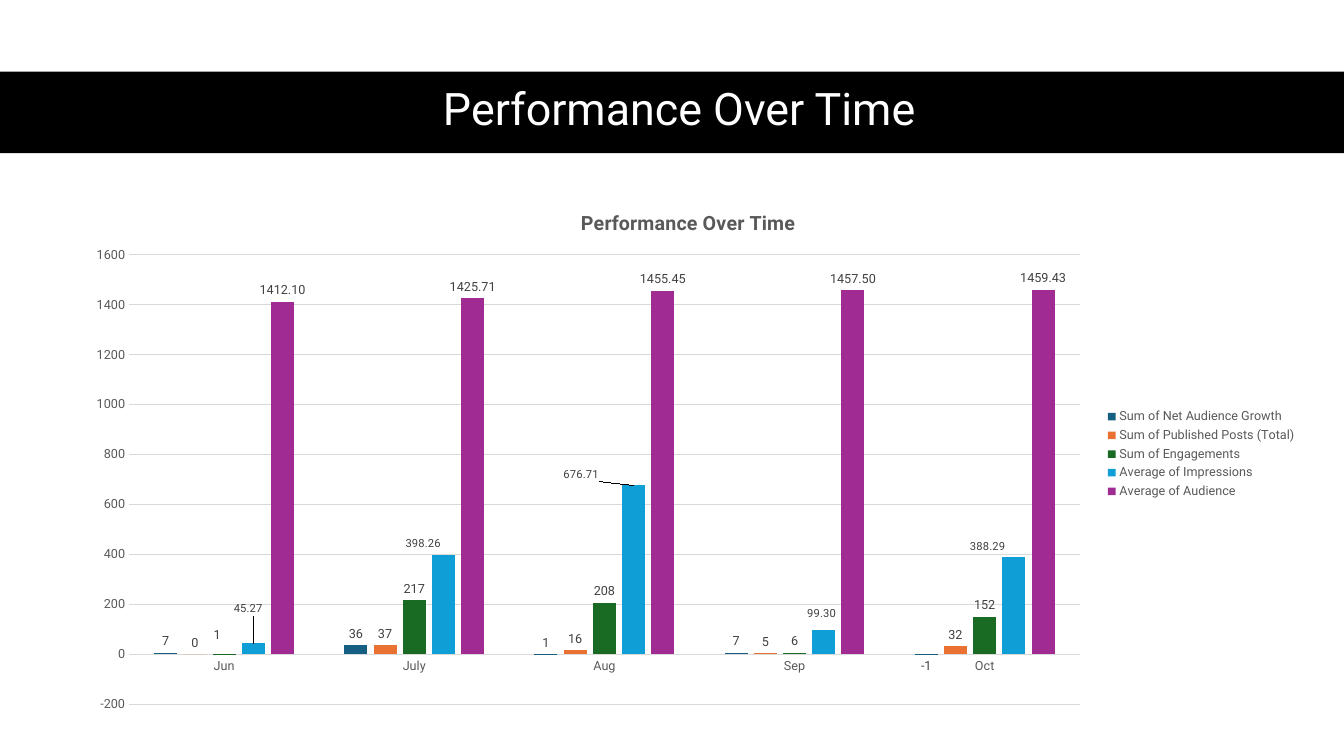
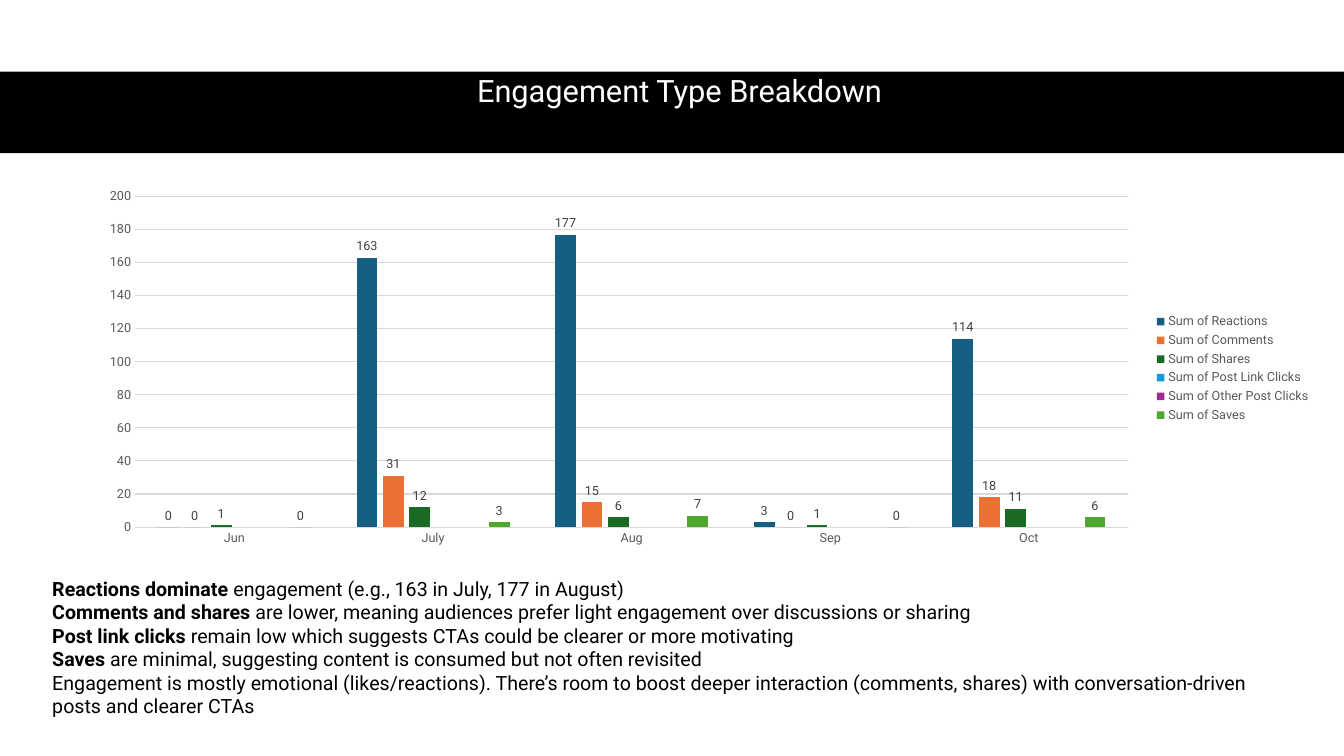
from dataclasses import dataclass, field

from lxml.etree import SubElement
from pptx import Presentation
from pptx.chart.data import CategoryChartData
from pptx.dml.color import RGBColor
from pptx.enum.chart import XL_CHART_TYPE, XL_LABEL_POSITION, XL_LEGEND_POSITION, XL_TICK_MARK
from pptx.enum.shapes import MSO_SHAPE
from pptx.enum.text import MSO_ANCHOR, MSO_AUTO_SIZE, PP_ALIGN
from pptx.oxml.ns import qn
from pptx.util import Emu, Pt

EMU_PER_PX = 9144
SLIDE_WIDTH, SLIDE_HEIGHT = 1333, 750
TITLE_ONLY_LAYOUT = 5

FONT = "Roboto"
BLACK, WHITE = "000000", "FFFFFF"
AXIS_TEXT, LABEL_TEXT, GRID = "595959", "404040", "D9D9D9"
BLUE, ORANGE, GREEN = "156082", "E97132", "196B24"
SKY, PURPLE, LIME = "0F9ED5", "A02B93", "4EA72E"

MONTHS = ["Jun", "July", "Aug", "Sep", "Oct"]


@dataclass
class Metric:
    """One series; label_shifts maps a month's index to a label offset in px."""
    name: str
    values: list
    color: str
    label_size: int = 9
    number_format: str = "General"
    label_shifts: dict = field(default_factory=dict)


PERFORMANCE = [
    Metric("Sum of Net Audience Growth", [7, 36, 1, 7, -1], BLUE),
    Metric("Sum of Published Posts (Total)", [0, 37, 16, 5, 32], ORANGE),
    Metric("Sum of Engagements", [1, 217, 208, 6, 152], GREEN,
           label_shifts={0: (-7, -8)}),
    Metric("Average of Impressions", [45.27, 398.26, 676.71, 99.3, 388.29], SKY,
           label_size=8, number_format="0.00",
           label_shifts={0: (-5, -23), 1: (-20, 0), 2: (-52, 0), 3: (-2, -5), 4: (-26, 0)}),
    Metric("Average of Audience", [1412.1, 1425.71, 1455.45, 1457.5, 1459.43], PURPLE,
           number_format="0.00"),
]

ENGAGEMENT = [
    Metric("Sum of Reactions", [0, 163, 177, 3, 114], BLUE),
    Metric("Sum of Comments", [0, 31, 15, 0, 18], ORANGE),
    Metric("Sum of Shares", [1, 12, 6, 1, 11], GREEN),
    Metric("Sum of Post Link Clicks", [None] * 5, SKY),
    Metric("Sum of Other Post Clicks", [None] * 5, PURPLE),
    Metric("Sum of Saves", [0, 3, 7, 0, 6], LIME),
]

FINDINGS = [
    ("Reactions dominate", " engagement (e.g., 163 in July, 177 in August)"),
    ("Comments and shares",
     " are lower, meaning audiences prefer light engagement over discussions or sharing"),
    ("Post link clicks", " remain low which suggests CTAs could be clearer or more motivating"),
    ("Saves", " are minimal, suggesting content is consumed but not often revisited"),
    ("", "Engagement is mostly emotional (likes/reactions). There’s room to boost deeper "
         "interaction (comments, shares) with conversation-driven posts and clearer CTAs"),
]


def px(length):
    return Emu(length * EMU_PER_PX)


def rgb(color):
    return RGBColor.from_string(color)


def style_font(font, size, color, bold=False):
    font.name = FONT
    font.size = Pt(size)
    font.bold = bold
    font.color.rgb = rgb(color)


def style_line(line, color):
    line.color.rgb = rgb(color)
    line.width = Pt(0.75)


def add_titled_slide(deck, heading, size, anchor=MSO_ANCHOR.MIDDLE):
    slide = deck.slides.add_slide(deck.slide_layouts[TITLE_ONLY_LAYOUT])
    band = slide.shapes.add_shape(MSO_SHAPE.RECTANGLE, 0, px(71), px(SLIDE_WIDTH), px(81))
    band.shadow.inherit = False
    band.fill.solid()
    band.fill.fore_color.rgb = rgb(BLACK)
    band.line.fill.background()

    title = slide.shapes.title
    title.element.addprevious(band.element)
    title.left, title.top, title.width, title.height = map(px, (61, 70, 1226, 81))
    frame = title.text_frame
    frame.text = heading
    frame.word_wrap = True
    frame.auto_size = MSO_AUTO_SIZE.NONE
    frame.vertical_anchor = anchor
    paragraph = frame.paragraphs[0]
    paragraph.alignment = PP_ALIGN.CENTER
    paragraph.line_spacing = 0.9
    style_font(paragraph.runs[0].font, size, WHITE)
    return slide


def set_layout(parent, index, settings):
    """Give a chart part a manual layout, as the child at the given index."""
    for old in parent.findall(qn("c:layout")):
        parent.remove(old)
    layout = SubElement(parent, qn("c:layout"))
    parent.insert(index, layout)
    manual = SubElement(layout, qn("c:manualLayout"))
    for tag, value in settings.items():
        SubElement(manual, qn(f"c:{tag}")).set("val", str(value))


def style_axes(chart, low, high, step):
    values, months = chart.value_axis, chart.category_axis
    for axis in (values, months):
        axis.major_tick_mark = axis.minor_tick_mark = XL_TICK_MARK.NONE
        style_font(axis.tick_labels.font, 9, AXIS_TEXT)
    style_line(months.format.line, GRID)
    values.format.line.fill.background()
    values.has_major_gridlines = True
    style_line(values.major_gridlines.format.line, GRID)
    values.tick_labels.number_format = "General"
    values.tick_labels.number_format_is_linked = False
    values.minimum_scale, values.maximum_scale, values.major_unit = low, high, step


def add_labels(series, metric):
    labels = series.data_labels
    labels.show_value = True
    labels.position = XL_LABEL_POSITION.OUTSIDE_END
    labels.number_format = metric.number_format
    labels.number_format_is_linked = False
    style_font(labels.font, metric.label_size, LABEL_TEXT)
    for month in metric.label_shifts:
        label = series.points[month].data_label
        label.position = XL_LABEL_POSITION.OUTSIDE_END
        style_font(label.font, metric.label_size, LABEL_TEXT)


def shift_labels(chart, metrics, width, height):
    for series, metric in zip(chart.element.xpath(".//c:ser"), metrics):
        for label in series.xpath("c:dLbls/c:dLbl"):
            month = int(label.find(qn("c:idx")).get("val"))
            right, down = metric.label_shifts[month]
            set_layout(label, 1, {"x": right / width, "y": down / height})


def add_column_chart(slide, metrics, box, plot_box, scale):
    """Draw the metrics by month; plot_box is in px from the chart's corner."""
    data = CategoryChartData()
    data.categories = MONTHS
    for metric in metrics:
        data.add_series(metric.name, metric.values, metric.number_format)
    chart = slide.shapes.add_chart(
        XL_CHART_TYPE.COLUMN_CLUSTERED, *map(px, box), data).chart
    style_font(chart.font, 10, BLACK)
    chart.has_title = False
    style_axes(chart, *scale)

    plot = chart.plots[0]
    plot.vary_by_categories = False
    plot.gap_width, plot.overlap = 219, -27
    for series, metric in zip(plot.series, metrics):
        series.invert_if_negative = False
        series.format.fill.solid()
        series.format.fill.fore_color.rgb = rgb(metric.color)
        if any(value is not None for value in metric.values):
            add_labels(series, metric)

    chart.has_legend = True
    chart.legend.position = XL_LEGEND_POSITION.RIGHT
    chart.legend.include_in_layout = False
    style_font(chart.legend.font, 9, AXIS_TEXT)

    width, height = box[2:]
    left, top, plot_width, plot_height = plot_box
    set_layout(chart.element.xpath("c:chart/c:plotArea")[0], 0, {
        "layoutTarget": "inner", "xMode": "edge", "yMode": "edge",
        "x": left / width, "y": top / height,
        "w": plot_width / width, "h": plot_height / height})
    shift_labels(chart, metrics, width, height)
    return chart


def add_chart_title(chart, text, x, y):
    """Set the chart's title at x and y, given as shares of its size."""
    chart.has_title = True
    frame = chart.chart_title.text_frame
    frame.text = text
    style_font(frame.paragraphs[0].runs[0].font, 14, AXIS_TEXT, bold=True)
    set_layout(chart.element.xpath("c:chart/c:title")[0], 1,
               {"xMode": "edge", "yMode": "edge", "x": x, "y": y})


def add_findings(slide, findings, box):
    frame = slide.shapes.add_textbox(*map(px, box)).text_frame
    frame.word_wrap = True
    frame.auto_size = MSO_AUTO_SIZE.SHAPE_TO_FIT_TEXT
    for number, (lead, rest) in enumerate(findings):
        paragraph = frame.add_paragraph() if number else frame.paragraphs[0]
        for text, bold in ((lead, True), (rest, False)):
            if text:
                run = paragraph.add_run()
                run.text = text
                style_font(run.font, 14, BLACK, bold)


def main():
    deck = Presentation()
    deck.slide_width, deck.slide_height = px(SLIDE_WIDTH), px(SLIDE_HEIGHT)

    performance = add_titled_slide(deck, "Performance Over Time", 32)
    chart = add_column_chart(performance, PERFORMANCE, box=(70, 183, 1226, 535),
                             plot_box=(58, 70, 943, 446), scale=(-200, 1600, 200))
    add_chart_title(chart, "Performance Over Time", 0.41, 0.04)

    engagement = add_titled_slide(deck, "Engagement Type Breakdown", 22, MSO_ANCHOR.TOP)
    add_findings(engagement, FINDINGS, box=(42, 567, 1250, 182))
    add_column_chart(engagement, ENGAGEMENT, box=(84, 181, 1226, 369),
                     plot_box=(50, 14, 985, 328), scale=(0, 200, 20))

    deck.save("out.pptx")


if __name__ == "__main__":
    main()
